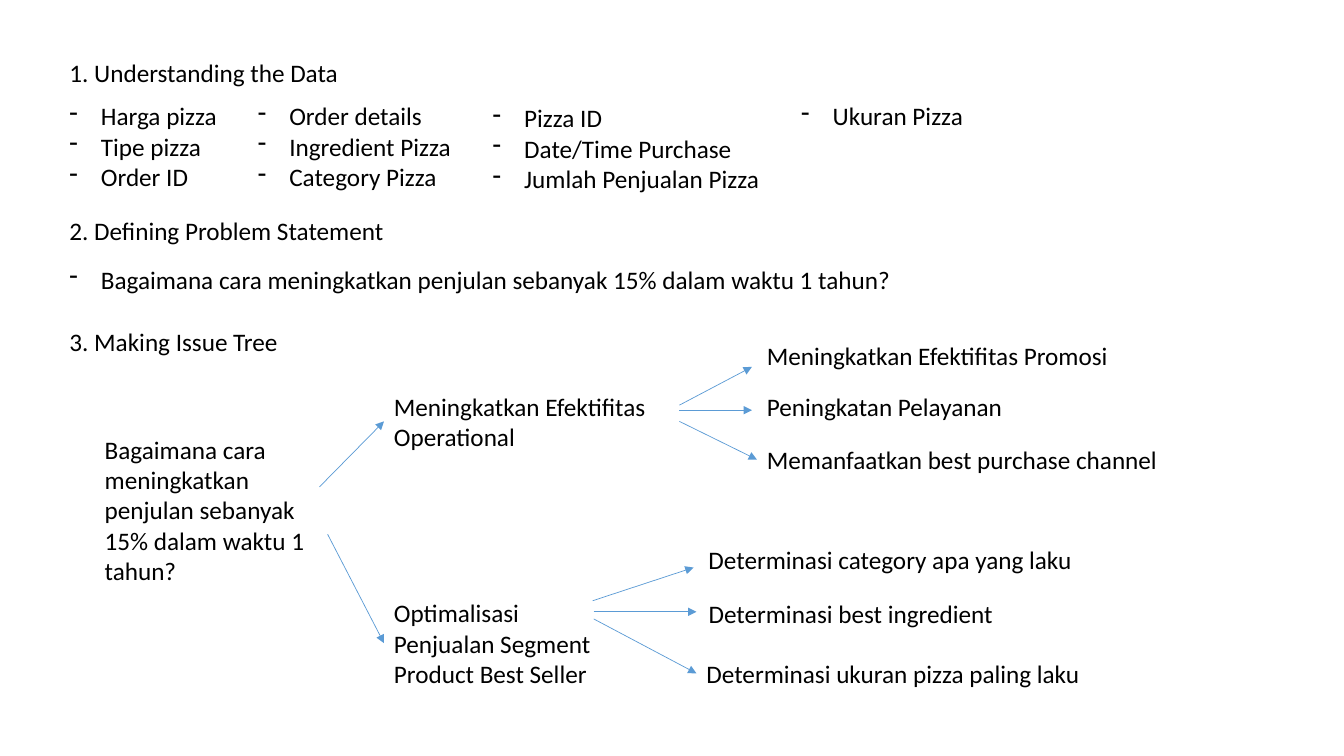
from lxml import etree
from pptx import Presentation
from pptx.dml.color import RGBColor
from pptx.enum.shapes import MSO_CONNECTOR
from pptx.enum.text import MSO_AUTO_SIZE
from pptx.oxml.ns import qn
from pptx.util import Pt

LINE = MSO_CONNECTOR.STRAIGHT
GROW = MSO_AUTO_SIZE.SHAPE_TO_FIT_TEXT
BLACK = RGBColor(0, 0, 0)
BLUE = RGBColor(0x5B, 0x9B, 0xD5)
FONT = {"name": "Calibri", "size": Pt(18)}
ROW = 28.8  # height of a box with one line
STEP = 21.8  # height of each further line
DASH = Pt(22.5)
GOAL = "Bagaimana cara meningkatkan penjulan sebanyak 15% dalam waktu 1 tahun?"


def note(slide, x, y, wide, lines, rows=1, wrap=False, dash=False):
    high = ROW + (rows - 1) * STEP
    frame = slide.shapes.add_textbox(Pt(x), Pt(y), Pt(wide), Pt(high)).text_frame
    frame.word_wrap, frame.auto_size = wrap, GROW
    frame.text = "\n".join(lines)
    for para in frame.paragraphs:
        font = para.runs[0].font
        for key, value in FONT.items():
            setattr(font, key, value)
        font.color.rgb = BLACK
        if dash:
            props = para._p.get_or_add_pPr()
            props.set("marL", str(DASH))
            props.set("indent", str(-DASH))
            etree.SubElement(props, qn("a:buFontTx"))
            etree.SubElement(props, qn("a:buChar"), char="-")


def arrow(slide, x, y, start, end):
    ends = [Pt(n) for n in (x + start[0], y + start[1], x + end[0], y + end[1])]
    link = slide.shapes.add_connector(LINE, *ends)
    link.line.color.rgb, link.line.width = BLUE, Pt(0.5)
    etree.SubElement(link.line._get_or_add_ln(), qn("a:tailEnd"), type="triangle")
    etree.SubElement(link._element.spPr, qn("a:effectLst"))


def data(slide, x, y):
    note(slide, x, y, 208.8, ["1. Understanding the Data"])
    # Columns of fields: offset, drop, width, items
    for left, drop, wide, items in [
        (0, 30.9, 121, ["Harga pizza", "Tipe pizza", "Order ID"]),
        (134.6, 30.9, 154.1, ["Order details", "Ingredient Pizza", "Category Pizza"]),
        (302.4, 32.3, 206.6,
         ["Pizza ID", "Date/Time Purchase", "Jumlah Penjualan Pizza"]),
        (522.7, 30.9, 131, ["Ukuran Pizza"]),
    ]:
        note(slide, x + left, y + drop, wide, items, len(items), dash=True)


def problem(slide, x, y):
    note(slide, x, y, 241.9, ["2. Defining Problem Statement"])
    note(slide, x, y + 34.5, 607.7, [GOAL], dash=True)


def branch(slide, x, y, wide, rows, title, leaves):
    note(slide, x, y, wide, [title], rows, wrap=True)
    # Leaves: offset, drop, width, text, arrow start, arrow end
    for left, drop, span, text, start, end in leaves:
        note(slide, x + left, y + drop, span, [text], wrap=True)
        arrow(slide, x, y, start, end)


def tree(slide, x, y):
    note(slide, x, y, 164.9, ["3. Making Issue Tree"])
    # Root question and its two stems
    note(slide, x + 25.2, y + 77, 166.3, [GOAL], 5, wrap=True)
    arrow(slide, x, y, (185.7, 118.1), (231.8, 71.3))
    arrow(slide, x, y, (191.5, 151.9), (231.8, 229.7))
    # Branches
    left = x + 231.8
    branch(slide, left, y + 46.1, 270, 2, "Meningkatkan Efektifitas Operational", [
        (266.4, -36, 299.5, "Meningkatkan Efektifitas Promosi",
         (211, 13.6), (262.8, -13.7)),
        (266.4, 0, 223.9, "Peningkatan Pelayanan", (211, 17.2), (262.8, 17.2)),
        (266.4, 38.1, 299.5, "Memanfaatkan best purchase channel",
         (211, 25.2), (266.4, 52.5)),
    ])
    title = "Optimalisasi Penjualan Segment Product Best Seller"
    branch(slide, left, y + 193.7, 166.3, 3, title, [
        (224.7, -38.2, 300.2, "Determinasi category apa yang laku",
         (149.1, 5.7), (221.1, -18)),
        (224.7, 0.7, 223.9, "Determinasi best ingredient",
         (149.8, 13.6), (223.2, 13.6)),
        (223.2, 43.2, 301.7, "Determinasi ukuran pizza paling laku",
         (149.8, 18.7), (223.2, 57.6)),
    ])


def main():
    deck = Presentation()
    deck.slide_width, deck.slide_height = Pt(960), Pt(540)
    slide = deck.slides.add_slide(deck.slide_layouts[6])
    data(slide, 42.5, 37.5)
    problem(slide, 42.5, 150.5)
    tree(slide, 42.5, 229.7)
    deck.save("out.pptx")


if __name__ == "__main__":
    main()
